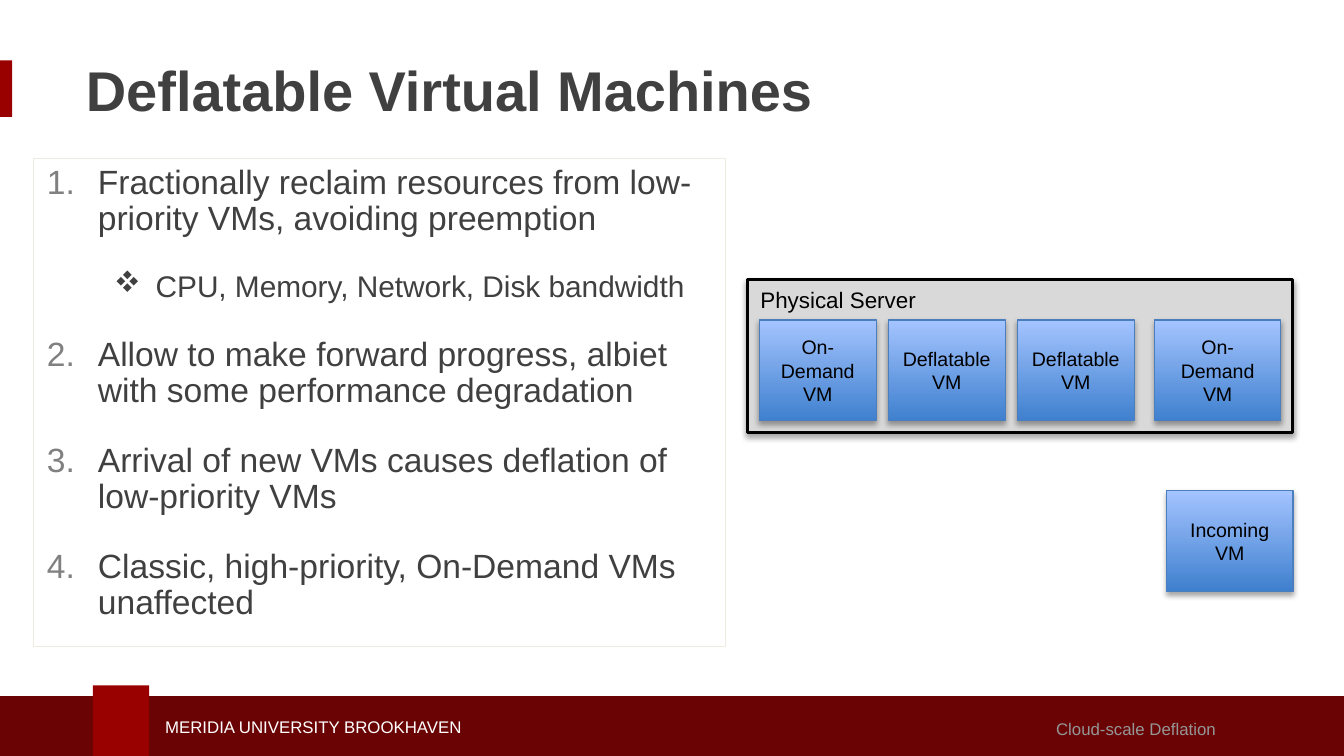
from pptx import Presentation
from pptx import util as u
from pptx.dml.color import RGBColor
from pptx.enum import shapes, text
from pptx.oxml import parse_xml
from pptx.oxml.ns import nsdecls, qn

DARK = "404041"


def color(value):
    return RGBColor.from_string(value)


def style(p, size, hex_color, bold=False):
    for r in p.runs:
        r.font.name = "Arial"
        r.font.size = u.Pt(size)
        r.font.bold = bold
        r.font.color.rgb = color(hex_color)


def add_rect(s, box, fill=None, line=None, width=0.75):
    sp = s.shapes.add_shape(shapes.MSO_SHAPE.RECTANGLE, *map(u.Inches, box))
    sp.shadow.inherit = False
    if fill:
        sp.fill.solid()
        sp.fill.fore_color.rgb = color(fill)
    else:
        sp.fill.background()
    if line:
        sp.line.color.rgb = color(line)
        sp.line.width = u.Pt(width)
    else:
        sp.line.fill.background()
    return sp


def add_shadow(sp):
    effects = sp._element.spPr.find(qn("a:effectLst"))
    effects.append(parse_xml(
        f'<a:outerShdw {nsdecls("a")} blurRad="{u.Pt(3.1)}" dist="{u.Pt(1.8)}" '
        'dir="5400000" rotWithShape="0"><a:srgbClr val="000000">'
        '<a:alpha val="35000"/></a:srgbClr></a:outerShdw>'))


def add_label(s, box, words, size, hex_color, bold=False, middle=False, wrap=True):
    tf = s.shapes.add_textbox(*map(u.Inches, box)).text_frame
    tf.word_wrap = wrap
    tf.vertical_anchor = text.MSO_ANCHOR.MIDDLE if middle else text.MSO_ANCHOR.TOP
    tf.text = words
    style(tf.paragraphs[0], size, hex_color, bold)


def add_vm(s, box, words):
    sp = add_rect(s, box, line="4B7EBC")
    sp.fill.gradient()
    sp.fill.gradient_angle = 90
    for stop, position, value in zip(sp.fill.gradient_stops, (0, 1), ("3F80CE", "A4C4FF")):
        stop.position = position
        stop.color.rgb = color(value)
    add_shadow(sp)
    tf = sp.text_frame
    tf.word_wrap = True
    tf.vertical_anchor = text.MSO_ANCHOR.MIDDLE
    tf.text = words
    tf.paragraphs[0].alignment = text.PP_ALIGN.CENTER
    style(tf.paragraphs[0], 10.5, "000000")


def set_bullet(p, level):
    p.level = level
    pPr = p._p.get_or_add_pPr()
    margin, hanging = ((0.38, 0.38), (0.81, 0.31))[level]
    pPr.set("marL", str(u.Inches(margin)))
    pPr.set("indent", str(-u.Inches(hanging)))
    if level:
        parts = ['<a:buFont {} typeface="Wingdings" charset="2"/>',
                 '<a:buChar {} char="v"/>']
    else:
        parts = ['<a:buClr {}><a:srgbClr val="808080"/></a:buClr>',
                 '<a:buFont {} typeface="Arial"/>',
                 '<a:buAutoNum {} type="arabicPeriod"/>']
    for part in parts:
        pPr.append(parse_xml(part.format(nsdecls("a"))))


def add_points(s, box, points):
    tf = add_rect(s, box, line="EEECE1").text_frame
    tf.word_wrap = True
    tf.vertical_anchor = text.MSO_ANCHOR.TOP
    for i, (level, words) in enumerate(points):
        p = tf.add_paragraph() if i else tf.paragraphs[0]
        p.text = words
        p.alignment = text.PP_ALIGN.LEFT
        p.line_spacing = 0.9
        p.space_after = u.Pt(18)
        set_bullet(p, level)
        style(p, 16 if level else 18, DARK)


def main():
    prs = Presentation()
    prs.slide_width = u.Inches(10)
    prs.slide_height = u.Inches(10 * 9 / 16)
    s = prs.slides.add_slide(prs.slide_layouts[6])

    add_rect(s, (0, 0.45, 0.09, 0.42), "990000")
    add_rect(s, (-0.03, 5.18, 10.09, 0.5), "690304")
    add_rect(s, (0.69, 5.1, 0.42, 0.58), "990000")
    add_label(s, (1.13, 5.28, 3.95, 0.25), "MERIDIA UNIVERSITY BROOKHAVEN", 9, "FFFFFF", middle=True)
    add_label(s, (7.76, 5.3, 1.53, 0.25), "Cloud-scale Deflation", 9, "969696")

    add_shadow(add_rect(s, (5.56, 2.08, 4.06, 1.14), "D9D9D9", "000000", 1.75))
    add_label(s, (5.56, 2.08, 1.37, 0.3), "Physical Server", 12, "000000", wrap=False)
    add_label(s, (0.54, 0.28, 8.75, 0.76), "Deflatable Virtual Machines", 30, DARK, bold=True, middle=True)

    add_points(s, (0.25, 1.18, 5.15, 3.63), [
        (0, "Fractionally reclaim resources from low-priority VMs, avoiding preemption"),
        (1, "CPU, Memory, Network, Disk bandwidth"),
        (0, "Allow to make forward progress, albiet with some performance degradation"),
        (0, "Arrival of new VMs causes deflation of low-priority VMs"),
        (0, "Classic, high-priority, On-Demand VMs unaffected"),
    ])

    for i, words in enumerate(("On-Demand VM", "Deflatable VM", "Deflatable VM")):
        add_vm(s, (5.65 + 0.96 * i, 2.38, 0.87, 0.75), words)
    add_vm(s, (8.59, 2.38, 0.94, 0.75), "On-Demand VM")
    add_vm(s, (8.68, 3.65, 0.94, 0.75), "Incoming VM")

    prs.save("out.pptx")


if __name__ == "__main__":
    main()
